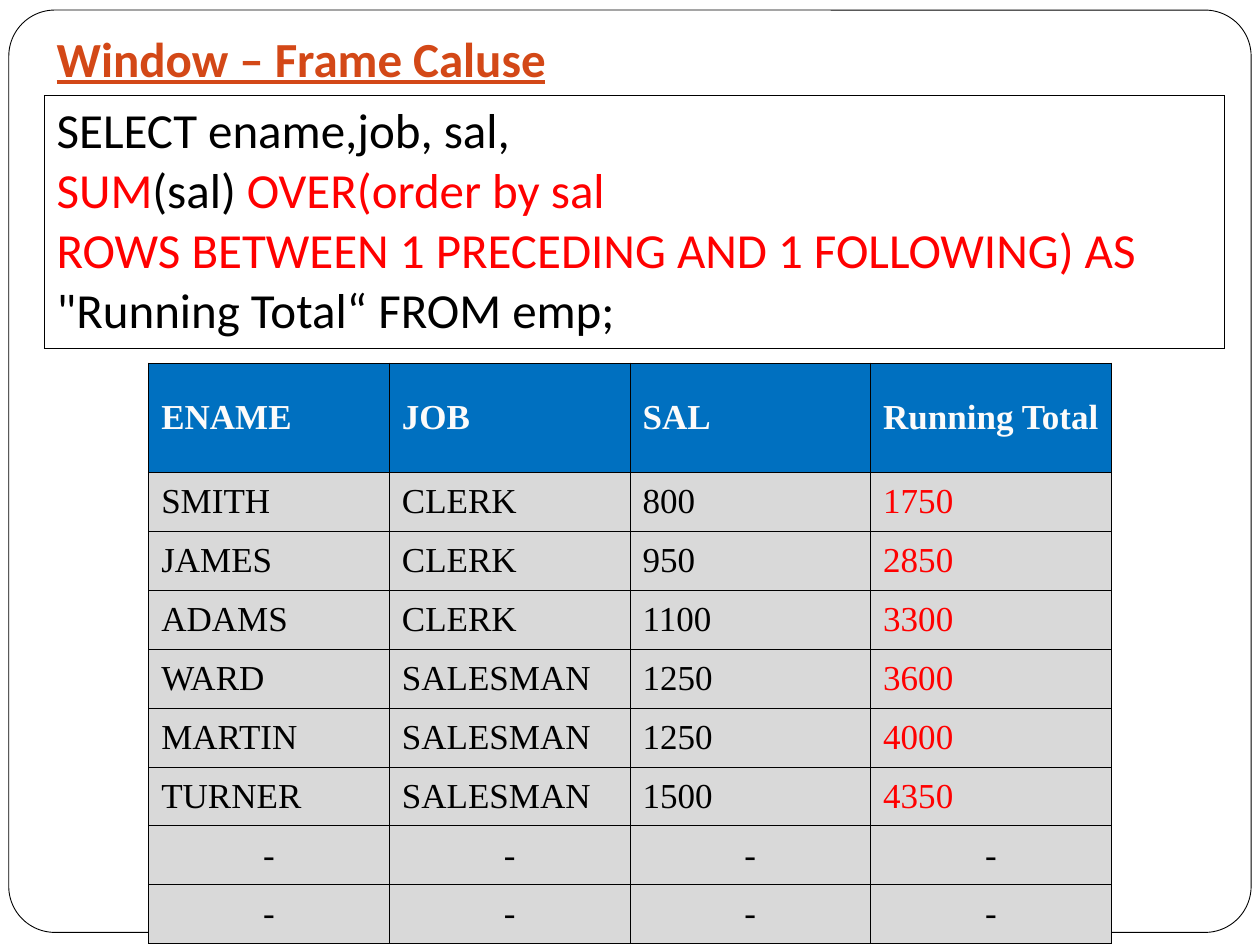
from lxml.etree import SubElement
from pptx import Presentation
from pptx.dml.color import RGBColor
from pptx.enum.shapes import MSO_SHAPE
from pptx.enum.text import MSO_ANCHOR, MSO_AUTO_SIZE, PP_ALIGN
from pptx.oxml.ns import qn
from pptx.util import Inches, Pt

# The page is a grid of 1000 columns by 750 rows; boxes are left, top, width, height.
COLUMNS, ROWS = 1000, 750
UNIT = Inches(10) / COLUMNS

BLACK, WHITE, RED = "000000", "FFFFFF", "FF0000"
TITLE_COLOUR, HEADER_TEXT = "D34817", "FCFBFA"
HEADER_FILL, BODY_FILL = "0070C0", "D9D9D9"

QUERY = [
    [("SELECT ename,job, sal,", BLACK)],
    [("SUM", RED), ("(sal) ", BLACK), ("OVER(order by sal", RED)],
    [("ROWS BETWEEN 1 PRECEDING AND 1 FOLLOWING) AS ", RED),
     ("\"Running Total“ FROM emp;", BLACK)],
]
RESULTS = [
    ["ENAME", "JOB", "SAL", "Running Total"],
    ["SMITH", "CLERK", "800", "1750"],
    ["JAMES", "CLERK", "950", "2850"],
    ["ADAMS", "CLERK", "1100", "3300"],
    ["WARD", "SALESMAN", "1250", "3600"],
    ["MARTIN", "SALESMAN", "1250", "4000"],
    ["TURNER", "SALESMAN", "1500", "4350"],
    ["-"] * 4,
    ["-"] * 4,
]


def colour(value):
    return RGBColor.from_string(value)


def grid(*counts):
    return [round(count * UNIT) for count in counts]


def style(font, name, size, value, bold=False):
    font.name, font.size, font.bold = name, Pt(size), bold
    font.color.rgb = colour(value)


def add_borders(cell):
    properties = cell._tc.get_or_add_tcPr()
    for side in ("a:lnL", "a:lnR", "a:lnT", "a:lnB"):
        line = SubElement(properties, qn(side), w=str(Pt(0.45)))
        fill = SubElement(line, qn("a:solidFill"))
        SubElement(fill, qn("a:srgbClr"), val=BLACK)


def add_plain_table(page, box, row_count, column_count):
    """Add a bordered table without the banded style."""
    table = page.shapes.add_table(row_count, column_count, *grid(*box)).table
    table.first_row = table.horz_banding = False
    for cell in table.iter_cells():
        add_borders(cell)
    return table


def add_frame(page, box):
    frame = page.shapes.add_shape(MSO_SHAPE.ROUNDED_RECTANGLE, *grid(*box))
    frame.adjustments[0] = 0.05
    frame.shadow.inherit = False
    frame.fill.solid()
    frame.fill.fore_color.rgb = colour(WHITE)
    frame.line.color.rgb = colour(BLACK)
    frame.line.width = Pt(0.5)
    page.shapes.title.element.addprevious(frame.element)


def set_title(page, box, text):
    title = page.shapes.title
    title.left, title.top, title.width, title.height = grid(*box)
    text_frame = title.text_frame
    text_frame.text = text
    text_frame.auto_size = MSO_AUTO_SIZE.NONE
    text_frame.vertical_anchor = MSO_ANCHOR.BOTTOM
    text_frame.margin_bottom = Inches(0.1)
    para = text_frame.paragraphs[0]
    para.alignment = PP_ALIGN.LEFT
    font = para.runs[0].font
    style(font, "Calibri", 28, TITLE_COLOUR, bold=True)
    font.underline = True


def add_query(page, box):
    cell = add_plain_table(page, box, 1, 1).cell(0, 0)
    cell.fill.background()
    cell.text_frame.text = "\n".join("".join(text for text, _ in line) for line in QUERY)
    for para, line in zip(cell.text_frame.paragraphs, QUERY):
        para.text = ""
        for text, value in line:
            span = para.add_run()
            span.text = text
            style(span.font, "Calibri", 28, value)


def add_results(page, box, header_height):
    table = add_plain_table(page, box, len(RESULTS), len(RESULTS[0]))
    body_height = (box[3] - header_height) / (len(RESULTS) - 1)
    for row_index, record in enumerate(RESULTS):
        header = row_index == 0
        table.rows[row_index].height = grid(header_height if header else body_height)[0]
        for column_index, text in enumerate(record):
            cell = table.cell(row_index, column_index)
            cell.fill.solid()
            cell.fill.fore_color.rgb = colour(HEADER_FILL if header else BODY_FILL)
            cell.vertical_anchor = MSO_ANCHOR.MIDDLE
            para = cell.text_frame.paragraphs[0]
            para.text = text
            para.alignment = PP_ALIGN.CENTER if text == "-" else PP_ALIGN.LEFT
            is_total = column_index == len(record) - 1 and text != "-"
            value = HEADER_TEXT if header else RED if is_total else BLACK
            style(para.runs[0].font, "Times New Roman", 20, value, bold=header)


def main():
    deck = Presentation()
    deck.slide_width, deck.slide_height = grid(COLUMNS, ROWS)
    page = deck.slides.add_slide(deck.slide_layouts[5])
    add_frame(page, (7, 8, 986, 732))
    set_title(page, (35, 21, 851, 58), "Window – Frame Caluse")
    add_query(page, (35, 76, 937, 200))
    add_results(page, (118, 288, 764, 461), header_height=87)
    deck.save("out.pptx")


if __name__ == "__main__":
    main()
